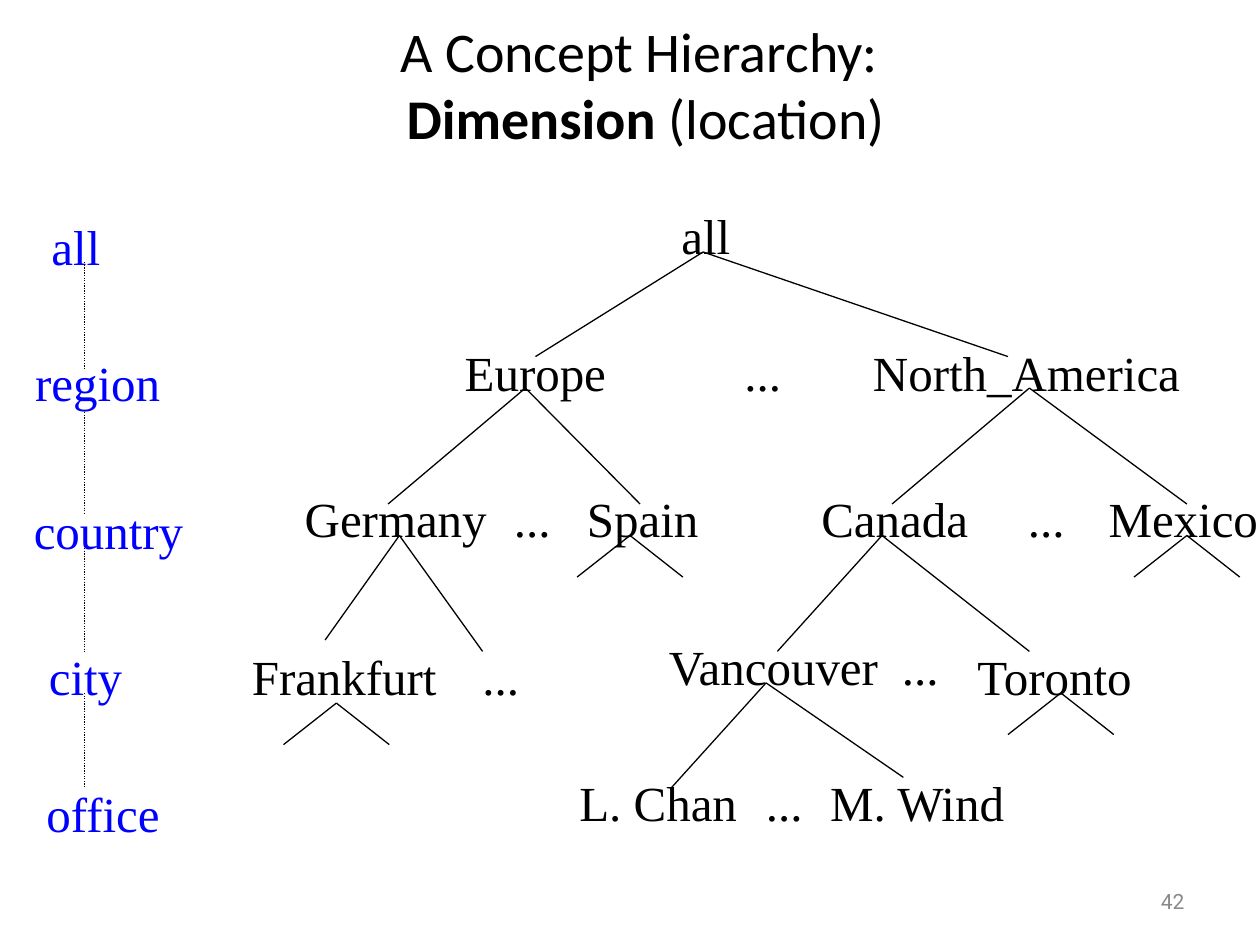
from pptx import Presentation
from pptx.dml.color import RGBColor
from pptx.enum.dml import MSO_LINE
from pptx.enum.shapes import MSO_CONNECTOR
from pptx.enum.text import MSO_ANCHOR, MSO_AUTO_SIZE as FIT, PP_ALIGN
from pptx.oxml.ns import qn
from pptx.util import Inches, Pt
from lxml import etree

COLORS = {"ink": "000000", "level": "0000FF", "number": "898989"}
SERIF = "Times New Roman"
NODE_H = 0.57
SLACK = 0.02  # keeps a tight label on one line
DOTS, DOTS_W = "...", 0.49

# level name, left, top, width
LEVELS = [
    ("all", 0.31, 1.67, 0.59),
    ("region", 0.18, 2.75, 1.19),
    ("country", 0.17, 3.92, 1.38),
    ("city", 0.29, 5.08, 0.78),
    ("office", 0.27, 6.17, 1.1),
]
LEVEL_X = 0.67
LEVEL_GAPS = [(2.08, 2.92), (3.25, 4.08), (4.33, 5.17), (5.5, 6.25)]

# top of a row: (text, left, width) of each member
ROWS = {
    1.58: [("all", 5.31, 0.59)],
    2.67: [("Europe", 3.59, 1.32), (DOTS, 5.81, DOTS_W), ("North_America", 6.83, 2.63)],
    3.83: [("Germany", 2.32, 1.64), (DOTS, 3.98, DOTS_W), ("Spain", 4.56, 1.08),
           ("Canada", 6.42, 1.36), (DOTS, 8.06, DOTS_W), ("Mexico", 8.7, 1.38)],
    5: [("Vancouver", 5.21, 1.9), (DOTS, 7.06, DOTS_W)],
    5.08: [("Frankfurt", 1.9, 1.66), (DOTS, 3.73, DOTS_W), ("Toronto", 7.66, 1.45)],
    6.08: [("L. Chan", 4.5, 1.45), (DOTS, 5.98, DOTS_W), ("M. Wind", 6.49, 1.6)],
}

# parent point: the two child points
BRANCHES = {
    (5.58, 2): [(4.25, 2.83), (8, 2.83)],
    (4.17, 3.08): [(3.08, 4), (5.08, 4)],
    (8.17, 3.08): [(7.08, 4), (9.42, 4)],
    (3.17, 4.25): [(2.58, 5.08), (3.83, 5.17)],
    (7, 4.25): [(6.17, 5.17), (8.17, 5.17)],
    (6.08, 5.42): [(5.33, 6.25), (7.17, 6.17)],
}
# parents whose children are only hinted at by a small fork
FORKS = [(5, 4.25), (9.42, 4.25), (2.67, 5.58), (8.42, 5.5)]
FORK_DX, FORK_DY = 0.42, 0.33


def add_text(p, text, font=SERIF, size=28, color="ink", bold=False):
    r = p.add_run()
    r.text = text
    r.font.name, r.font.size, r.font.bold = font, Pt(size), bold
    r.font.color.rgb = RGBColor.from_string(COLORS[color])


class HierarchySlide:
    """Holds the slide and draws its kinds of element."""

    def __init__(self, prs):
        self.s = prs.slides.add_slide(prs.slide_layouts[5])

    def title(self, x, y, w, h):
        sp = self.s.shapes.title
        sp.left, sp.top, sp.width, sp.height = map(Inches, (x, y, w, h))
        tf = sp.text_frame
        tf.auto_size, tf.vertical_anchor = FIT.NONE, MSO_ANCHOR.MIDDLE
        p = tf.paragraphs[0]
        p.alignment = PP_ALIGN.CENTER
        style = dict(font="Calibri", size=32)
        add_text(p, "A Concept Hierarchy: ", **style)
        p.add_line_break()
        add_text(p, "Dimension", bold=True, **style)
        add_text(p, " (location)", **style)

    def box(self, x, y, w, h):
        return self.s.shapes.add_textbox(*map(Inches, (x, y, w, h))).text_frame

    def label(self, text, x, y, w, color="ink"):
        tf = self.box(x, y, w + SLACK, NODE_H)
        tf.word_wrap, tf.auto_size = False, FIT.SHAPE_TO_FIT_TEXT
        add_text(tf.paragraphs[0], text, color=color)

    def number(self, text, x, y, w, h):
        tf = self.box(x, y, w, h)
        tf.word_wrap, tf.vertical_anchor = True, MSO_ANCHOR.MIDDLE
        p = tf.paragraphs[0]
        p.alignment = PP_ALIGN.RIGHT
        add_text(p, text, font="Roboto", size=12, color="number")

    def line(self, start, end, dash=None):
        c = self.s.shapes.add_connector(MSO_CONNECTOR.STRAIGHT, *map(Inches, (*start, *end)))
        c.line.color.rgb = RGBColor.from_string(COLORS["ink"])
        c.line.width = Pt(0.75)
        if dash:
            c.line.dash_style = dash
        etree.SubElement(c._element.spPr, qn("a:effectLst"))


def main():
    prs = Presentation()
    prs.slide_width, prs.slide_height = Inches(10), Inches(7.5)
    slide = HierarchySlide(prs)
    slide.number("42", 7.17, 6.95, 2.33, 0.4)
    slide.title(0.75, 0.33, 8.75, 0.67)

    for y, members in ROWS.items():
        for text, x, w in members:
            slide.label(text, x, y, w)
    for parent, children in BRANCHES.items():
        for child in children:
            slide.line(parent, child)
    for x, y in FORKS:
        for dx in (-FORK_DX, FORK_DX):
            slide.line((x, y), (x + dx, y + FORK_DY))

    for text, x, y, w in LEVELS:
        slide.label(text, x, y, w, color="level")
    for top, bottom in LEVEL_GAPS:
        slide.line((LEVEL_X, top), (LEVEL_X, bottom), dash=MSO_LINE.ROUND_DOT)

    prs.save("out.pptx")


if __name__ == "__main__":
    main()
